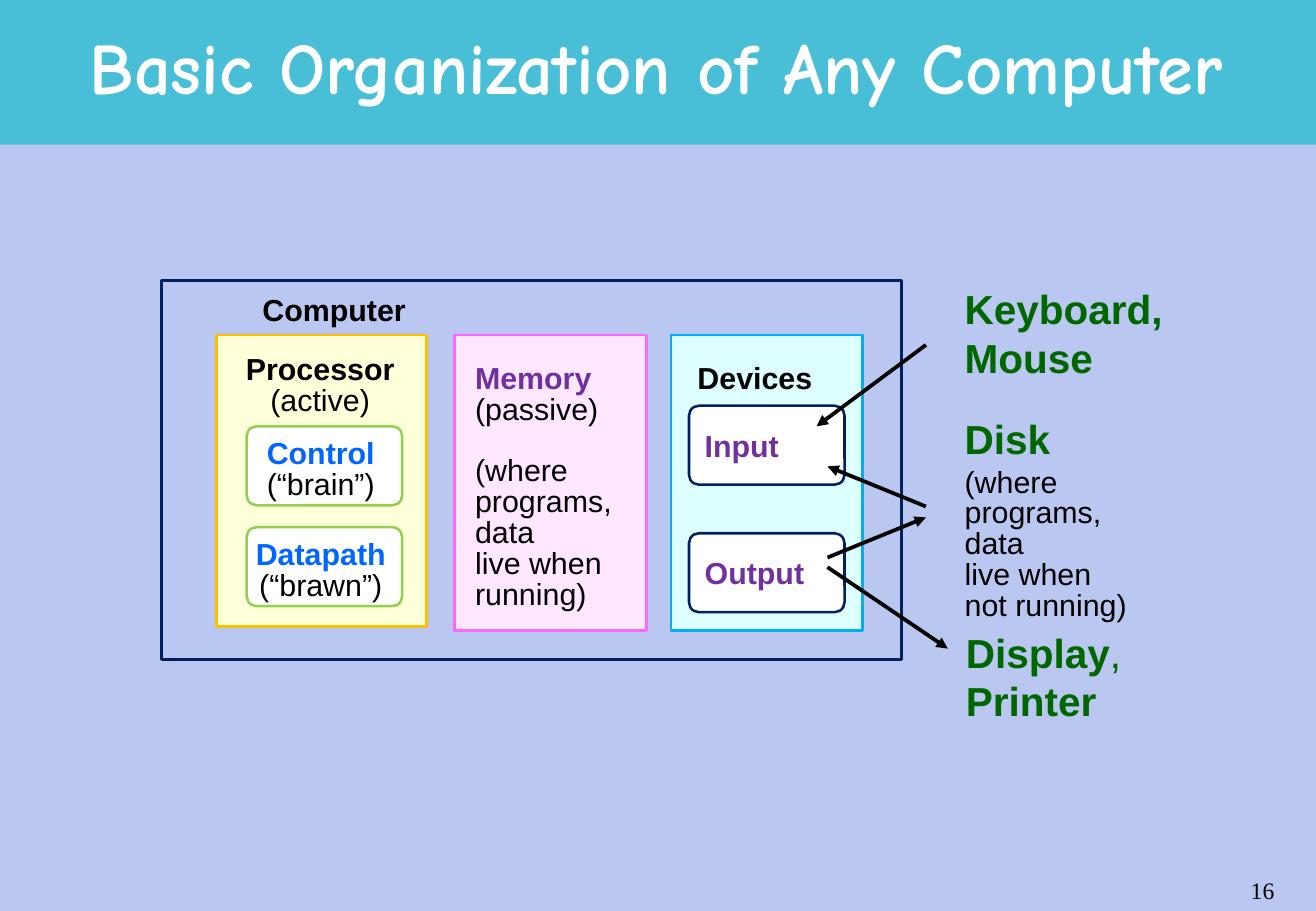
from lxml.etree import SubElement
from pptx import Presentation
from pptx.dml.color import RGBColor
from pptx.enum.shapes import MSO_CONNECTOR, MSO_SHAPE
from pptx.enum.text import MSO_ANCHOR, PP_ALIGN
from pptx.oxml.ns import qn
from pptx.util import Pt

PX = 9144
BACKGROUND = RGBColor(0xBA, 0xC8, 0xF1)
TEAL = RGBColor(0x49, 0xBF, 0xD7)
NAVY = RGBColor(0x00, 0x20, 0x60)
WHITE = RGBColor(0xFF, 0xFF, 0xFF)
BLACK = RGBColor(0x00, 0x00, 0x00)
CREAM = RGBColor(0xFF, 0xFF, 0xD9)
AMBER = RGBColor(0xFF, 0xC0, 0x00)
PALE_PINK = RGBColor(0xFF, 0xE7, 0xFF)
PINK = RGBColor(0xFF, 0x66, 0xFF)
PALE_CYAN = RGBColor(0xDD, 0xFF, 0xFF)
SKY = RGBColor(0x00, 0xB0, 0xF0)
LIME = RGBColor(0x92, 0xD0, 0x50)
BLUE = RGBColor(0x00, 0x66, 0xFF)
PURPLE = RGBColor(0x70, 0x30, 0xA0)
GREEN = RGBColor(0x00, 0x66, 0x00)
LEFT, CENTER = PP_ALIGN.LEFT, PP_ALIGN.CENTER


def px(*lengths):
    return [round(n * PX) for n in lengths]


def add_run(p, text, size=18, color=BLACK, bold=False, font="Arial"):
    r = p.add_run()
    r.text = text
    r.font.name = font
    r.font.size = Pt(size)
    r.font.bold = bold
    r.font.color.rgb = color


def add_box(s, x, y, w, h, fill=None, line=None, kind=MSO_SHAPE.RECTANGLE):
    sp = s.shapes.add_shape(kind, *px(x, y, w, h))
    sp.shadow.inherit = False
    if fill is None:
        sp.fill.background()
    else:
        sp.fill.solid()
        sp.fill.fore_color.rgb = fill
    if line is None:
        sp.line.fill.background()
    else:
        sp.line.color.rgb = line
        sp.line.width = Pt(1.5)
    return sp


def add_unit(s, x, y, line):
    sp = add_box(s, x, y, 128, 65, WHITE, line, MSO_SHAPE.ROUNDED_RECTANGLE)
    sp.adjustments[0] = 0.125


def add_frame(s, x, y, w, h, inset_x=10, inset_y=5, wrap=True):
    tf = s.shapes.add_textbox(*px(x, y, w, h)).text_frame
    tf.word_wrap = wrap
    tf.margin_left, tf.margin_right = px(inset_x, inset_x)
    tf.margin_top, tf.margin_bottom = px(inset_y, inset_y)
    return tf


def add_label(s, x, y, w, h, heading, color=BLACK, lines=(), align=LEFT):
    tf = add_frame(s, x, y, w, h, 7, 3, align == LEFT)
    p = tf.paragraphs[0]
    p.alignment, p.line_spacing = align, 0.85
    add_run(p, heading, color=color, bold=True)
    add_lines(tf, lines, align)
    return tf


def add_lines(tf, lines, align=LEFT):
    for text in lines:
        p = tf.add_paragraph()
        p.alignment, p.line_spacing = align, 0.85
        add_run(p, text)


def add_arrow(s, x1, y1, x2, y2):
    c = s.shapes.add_connector(MSO_CONNECTOR.STRAIGHT, *px(x1, y1, x2, y2))
    c.line.color.rgb = BLACK
    c.line.width = Pt(2.25)
    SubElement(c.line._get_or_add_ln(), qn("a:tailEnd"), type="triangle")
    SubElement(c._element.spPr, qn("a:effectLst"))


def title_band(s, x, y, w, h):
    add_box(s, x, y, w, h, TEAL)
    title = s.shapes.title
    s.shapes._spTree.append(title._element)
    title.left, title.top, title.width, title.height = px(x - 14, y + 14, w + 25, 79)
    tf = title.text_frame
    tf.word_wrap = True
    tf.vertical_anchor = MSO_ANCHOR.MIDDLE
    p = tf.paragraphs[0]
    p.alignment = CENTER
    add_run(p, "Basic Organization of Any Computer", 43, WHITE, True, "Comic Neue")


def processor(s, x, y, w, h):
    add_box(s, x, y, w, h, CREAM, AMBER)
    add_label(s, x + 8, y + 14, 155, 57, "Processor", BLACK, ["(active)"], CENTER)
    units = [("Control", "(“brain”)"), ("Datapath", "(“brawn”)")]
    for i, (name, role) in enumerate(units):
        top = y + 75 + 83 * i
        add_unit(s, x + 25, top, LIME)
        add_label(s, x + 25, top + 8, 122, 57, name, BLUE, [role], CENTER)


def memory(s, x, y, w, h):
    add_box(s, x, y, w, h, PALE_PINK, PINK)
    tf = add_label(s, x + 10, y + 21, 140, 212, "Memory", PURPLE,
                   ["(passive)", "(where", "programs,", "data", "live when", "running)"])
    tf.paragraphs[2].space_before = Pt(18)


def devices(s, x, y, w, h):
    add_box(s, x, y, w, h, PALE_CYAN, SKY)
    add_label(s, x + 15, y + 21, 130, 31, "Devices")
    for i, name in enumerate(["Input", "Output"]):
        top = y + 58 + 105 * i
        add_unit(s, x + 15, top, NAVY)
        add_label(s, x + 21, top + 19, 110, 31, name, PURPLE)


def computer(s, x, y, w, h):
    add_box(s, x, y, w, h, line=NAVY)
    add_label(s, x + 76, y + 10, 143, 31, "Computer")
    processor(s, x + 45, y + 45, 173, 240)
    memory(s, x + 241, y + 45, 158, 243)
    devices(s, x + 419, y + 45, 158, 243)


def peripherals(s, x, y, w):
    p = add_frame(s, x, y, w, 90).paragraphs[0]
    add_run(p, "Keyboard,", 24, GREEN, True)
    p.add_line_break()
    add_run(p, "Mouse", 24, GREEN, True)

    tf = add_frame(s, x, y + 107, w, 182)
    p = tf.paragraphs[0]
    add_run(p, "Disk", 24, GREEN, True)
    p.add_line_break()
    add_run(p, "(where")
    add_lines(tf, ["programs,", "data", "live when", "not running)"])

    p = add_frame(s, x + 1, y + 283, w, 90).paragraphs[0]
    add_run(p, "Display", 24, GREEN, True)
    add_run(p, ",", 24, GREEN)
    p.add_line_break()
    add_run(p, "Printer", 24, GREEN, True)


def data_flow(s, x, y):
    add_arrow(s, x + 81, y, x - 9, y + 67)
    add_arrow(s, x + 81, y + 133, x, y + 100)
    add_arrow(s, x, y + 175, x + 81, y + 142)
    add_arrow(s, x, y + 183, x + 99, y + 250)


def page_number(s, x, y, w, h):
    p = add_frame(s, x, y, w, h).paragraphs[0]
    p.alignment = CENTER
    add_run(p, "16", 14, font="Times New Roman")


def main():
    prs = Presentation()
    prs.slide_width, prs.slide_height = px(1083, 750)
    s = prs.slides.add_slide(prs.slide_layouts[5])
    s.background.fill.solid()
    s.background.fill.fore_color.rgb = BACKGROUND
    title_band(s, 0, 0, 1083, 119)
    computer(s, 133, 231, 609, 312)
    peripherals(s, 784, 229, 209)
    data_flow(s, 681, 284)
    page_number(s, 1014, 716, 50, 34)
    prs.save("out.pptx")


if __name__ == "__main__":
    main()
